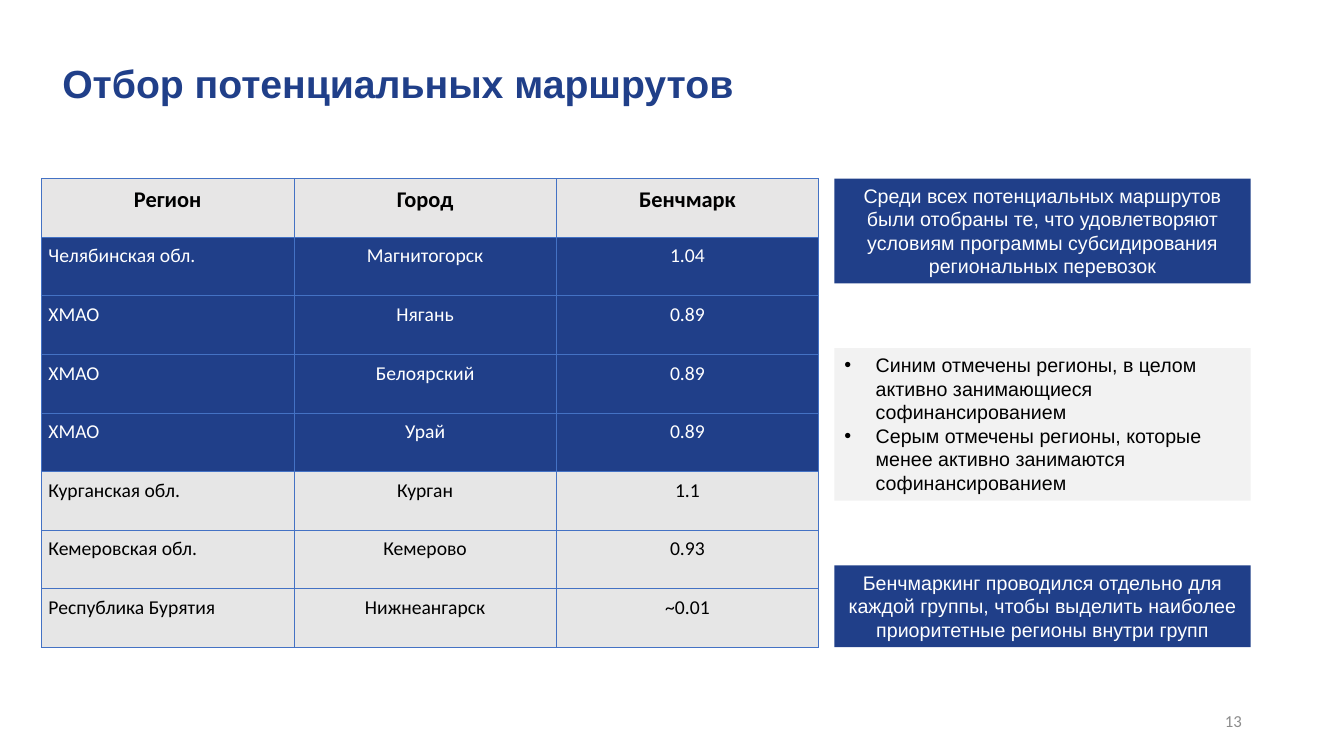
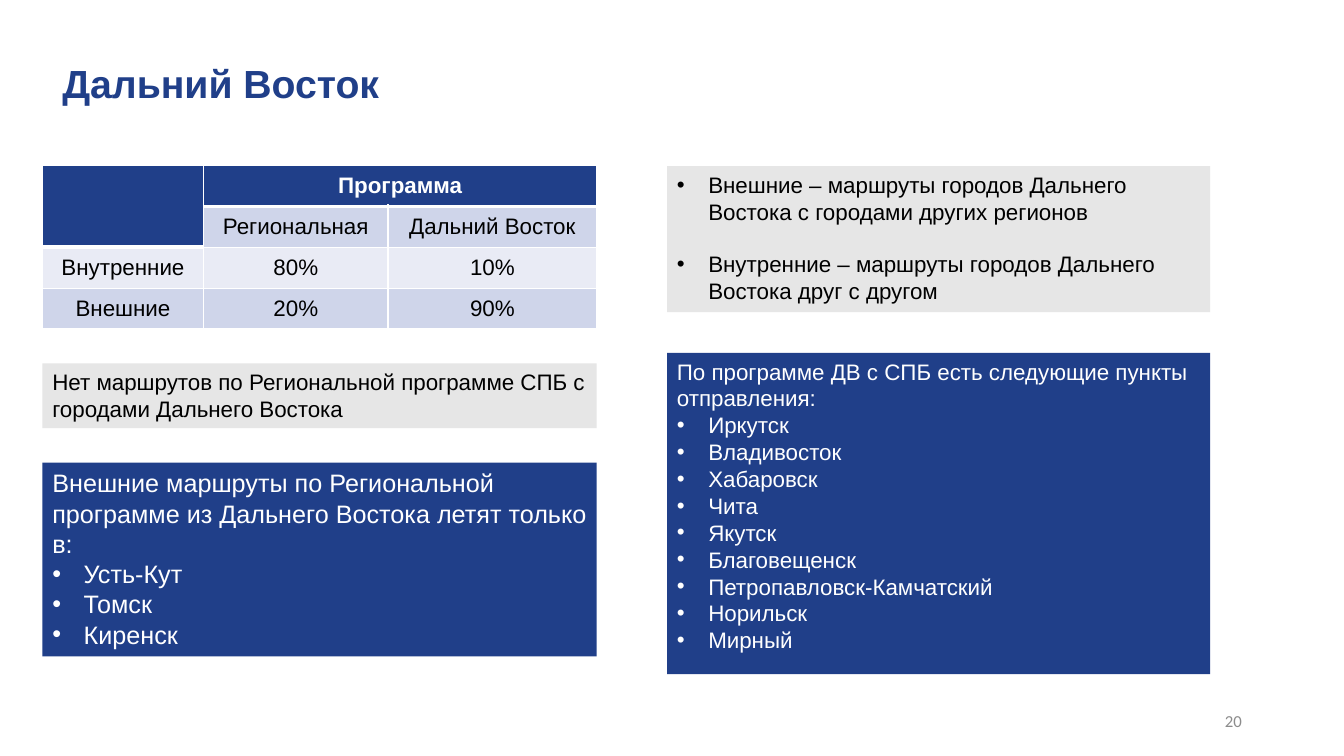
from dataclasses import dataclass

from lxml.etree import SubElement
from pptx import Presentation
from pptx.dml.color import RGBColor
from pptx.enum.shapes import MSO_SHAPE as Shape
from pptx.enum.text import MSO_ANCHOR as Anchor, PP_ALIGN as Align
from pptx.oxml.ns import qn
from pptx.util import Cm, Pt

COLOURS = {
    "blue": "203F89",
    "grey": "E6E6E6",
    "header_grey": "E7E6E6",
    "pale_grey": "F2F2F2",
    "band_dark": "CFD5EA",
    "band_light": "E9EBF5",
    "grid_blue": "4472C4",
    "number": "8C8C8C",
    "white": "FFFFFF",
    "black": "000000",
}
BULLET_INDENT = Cm(0.79)


@dataclass
class Box:
    left: float
    top: float
    width: float
    height: float

    def place(self):
        return Cm(self.left), Cm(self.top), Cm(self.width), Cm(self.height)


def colour(name):
    return RGBColor.from_string(COLOURS[name])


def stack(box, heights):
    gap = (box.height - sum(heights)) / (len(heights) - 1)
    top = box.top
    for height in heights:
        yield Box(box.left, top, box.width, height)
        top += height + gap


def add_bullet(para):
    properties = para._p.get_or_add_pPr()
    properties.set("marL", str(BULLET_INDENT))
    properties.set("indent", str(-BULLET_INDENT))
    SubElement(properties, qn("a:buFont")).set("typeface", "Arial")
    SubElement(properties, qn("a:buChar")).set("char", "•")


def write(frame, lines, size=16, ink="black", font="Arial", bold=False,
          align=Align.LEFT, anchor=Anchor.TOP, bullets_from=None, gap=0):
    frame.word_wrap = True
    frame.vertical_anchor = anchor
    for index, line in enumerate(lines):
        para = frame.paragraphs[0] if index == 0 else frame.add_paragraph()
        para.alignment = align
        if index and gap:
            para.space_before = Pt(gap)
        if bullets_from is not None and index >= bullets_from:
            add_bullet(para)
        span = para.add_run()
        span.text = line
        span.font.name = font
        span.font.size = Pt(size)
        span.font.bold = bold
        span.font.color.rgb = colour(ink)


def add_label(page, box, text, **style):
    write(page.shapes.add_textbox(*box.place()).text_frame, [text], **style)


def add_panel(page, box, lines, fill="blue", **style):
    panel = page.shapes.add_shape(Shape.RECTANGLE, *box.place())
    panel.shadow.inherit = False
    panel.fill.solid()
    panel.fill.fore_color.rgb = colour(fill)
    panel.line.fill.background()
    style.setdefault("ink", "white" if fill == "blue" else "black")
    write(panel.text_frame, lines, **style)


def add_page(deck, title, number):
    page = deck.slides.add_slide(deck.slide_layouts[6])
    add_label(page, Box(23.93, 17.65, 7.62, 1.02), number, size=12, ink="number",
              font="Calibri", align=Align.RIGHT, anchor=Anchor.MIDDLE)
    add_label(page, Box(1.32, 1.37, 20.5, 2.41), title, size=28, ink="blue", bold=True)
    return page


def add_grid(page, box, widths, row_count):
    table = page.shapes.add_table(row_count, len(widths), *box.place()).table
    table.first_row = table.horz_banding = False
    for column, width in zip(table.columns, widths):
        column.width = Cm(width)
    for row in table.rows:
        row.height = Cm(box.height / row_count)
    return table


def style_cell(cell, fill, border, top=1, bottom=1, side=1):
    properties = cell._tc.get_or_add_tcPr()
    for tag, width in (("lnL", side), ("lnR", side), ("lnT", top), ("lnB", bottom)):
        line = SubElement(properties, qn(f"a:{tag}"), w=str(Pt(width)))
        paint = SubElement(line, qn("a:solidFill"))
        SubElement(paint, qn("a:srgbClr"), val=COLOURS[border])
    cell.fill.solid()
    cell.fill.fore_color.rgb = colour(fill)


def routes_table(page, box):
    rows = [
        ("Регион", "Город", "Бенчмарк"),
        ("Челябинская обл.", "Магнитогорск", "1.04"),
        ("ХМАО", "Нягань", "0.89"),
        ("ХМАО", "Белоярский", "0.89"),
        ("ХМАО", "Урай", "0.89"),
        ("Курганская обл.", "Курган", "1.1"),
        ("Кемеровская обл.", "Кемерово", "0.93"),
        ("Республика Бурятия", "Нижнеангарск", "~0.01"),
    ]
    fills = ["header_grey"] + ["blue"] * 4 + ["grey"] * 3
    table = add_grid(page, box, (6.37, 6.61, 6.61), len(rows))
    for r, (values, fill) in enumerate(zip(rows, fills)):
        header = r == 0
        for c, value in enumerate(values):
            cell = table.cell(r, c)
            style_cell(cell, fill, "grid_blue", top=0.5, bottom=0.5, side=0.5)
            cell.margin_left = cell.margin_right = Cm(0.18)
            cell.margin_top = cell.margin_bottom = Cm(0.18)
            write(cell.text_frame, [value], font="Calibri",
                  size=16 if header else 14, bold=header,
                  ink="white" if fill == "blue" else "black",
                  align=Align.CENTER if header or c else Align.LEFT)


def selection_notes(page, box):
    criteria, legend, method = stack(box, (2.64, 3.84, 2.06))
    add_panel(page, criteria, [
        "Среди всех потенциальных маршрутов были отобраны те, что удовлетворяют "
        "условиям программы субсидирования региональных перевозок",
    ], size=14, align=Align.CENTER)
    add_panel(page, legend, [
        "Синим отмечены регионы, в целом активно занимающиеся софинансированием",
        "Серым отмечены регионы, которые менее активно занимаются софинансированием",
    ], fill="pale_grey", size=14, bullets_from=0)
    add_panel(page, method, [
        "Бенчмаркинг проводился отдельно для каждой группы, чтобы выделить "
        "наиболее приоритетные регионы внутри групп",
    ], size=14, align=Align.CENTER)


def programme_table(page, box):
    rows = [
        ("", "Программа", ""),
        ("", "Региональная", "Дальний Восток"),
        ("Внутренние", "80%", "10%"),
        ("Внешние", "20%", "90%"),
    ]
    bands = ("blue", "band_dark", "band_light", "band_dark")
    heavy_bottoms = {(0, 0), (0, 1), (0, 2), (1, 0)}
    table = add_grid(page, box, (4.06, 4.65, 5.26), len(rows))
    table.cell(0, 0).merge(table.cell(1, 0))
    table.cell(0, 1).merge(table.cell(0, 2))
    for r, values in enumerate(rows):
        for c, value in enumerate(values):
            cell = table.cell(r, c)
            style_cell(cell, "blue" if (r, c) == (1, 0) else bands[r], "white",
                       top=3 if (r - 1, c) in heavy_bottoms else 1,
                       bottom=3 if (r, c) in heavy_bottoms else 1)
            cell.vertical_anchor = Anchor.MIDDLE
            if value:
                write(cell.text_frame, [value], bold=r == 0,
                      ink="white" if r == 0 else "black",
                      align=Align.CENTER, anchor=Anchor.MIDDLE)
                cell.vertical_anchor = Anchor.MIDDLE


def programme_column(page, box):
    shares, remark, outbound = stack(box, (4.12, 1.63, 4.88))
    programme_table(page, shares)
    add_panel(page, remark, [
        "Нет маршрутов по Региональной программе СПБ с городами Дальнего Востока",
    ], fill="grey")
    add_panel(page, outbound, [
        "Внешние маршруты по Региональной программе из Дальнего Востока летят только в:",
        "Усть-Кут", "Томск", "Киренск",
    ], size=18, bullets_from=1)


def departures_column(page, box):
    terms, departures = stack(box, (3.68, 8.1))
    add_panel(page, terms, [
        "Внешние – маршруты городов Дальнего Востока с городами других регионов",
        "Внутренние – маршруты городов Дальнего Востока друг с другом",
    ], fill="grey", bullets_from=0, gap=18)
    add_panel(page, departures, [
        "По программе ДВ с СПБ есть следующие пункты отправления:",
        "Иркутск", "Владивосток", "Хабаровск", "Чита", "Якутск", "Благовещенск",
        "Петропавловск-Камчатский", "Норильск", "Мирный",
    ], bullets_from=1)


def routes_page(deck):
    page = add_page(deck, "Отбор потенциальных маршрутов", "13")
    routes_table(page, Box(1.04, 4.5, 19.59, 11.81))
    selection_notes(page, Box(21.03, 4.5, 10.49, 11.81))


def far_east_page(deck):
    page = add_page(deck, "Дальний Восток", "20")
    programme_column(page, Box(1.07, 4.17, 13.97, 12.37))
    departures_column(page, Box(16.81, 4.19, 13.69, 12.8))


def main():
    deck = Presentation()
    deck.slide_width, deck.slide_height = Cm(33.87), Cm(19.05)
    routes_page(deck)
    far_east_page(deck)
    deck.save("out.pptx")


if __name__ == "__main__":
    main()
